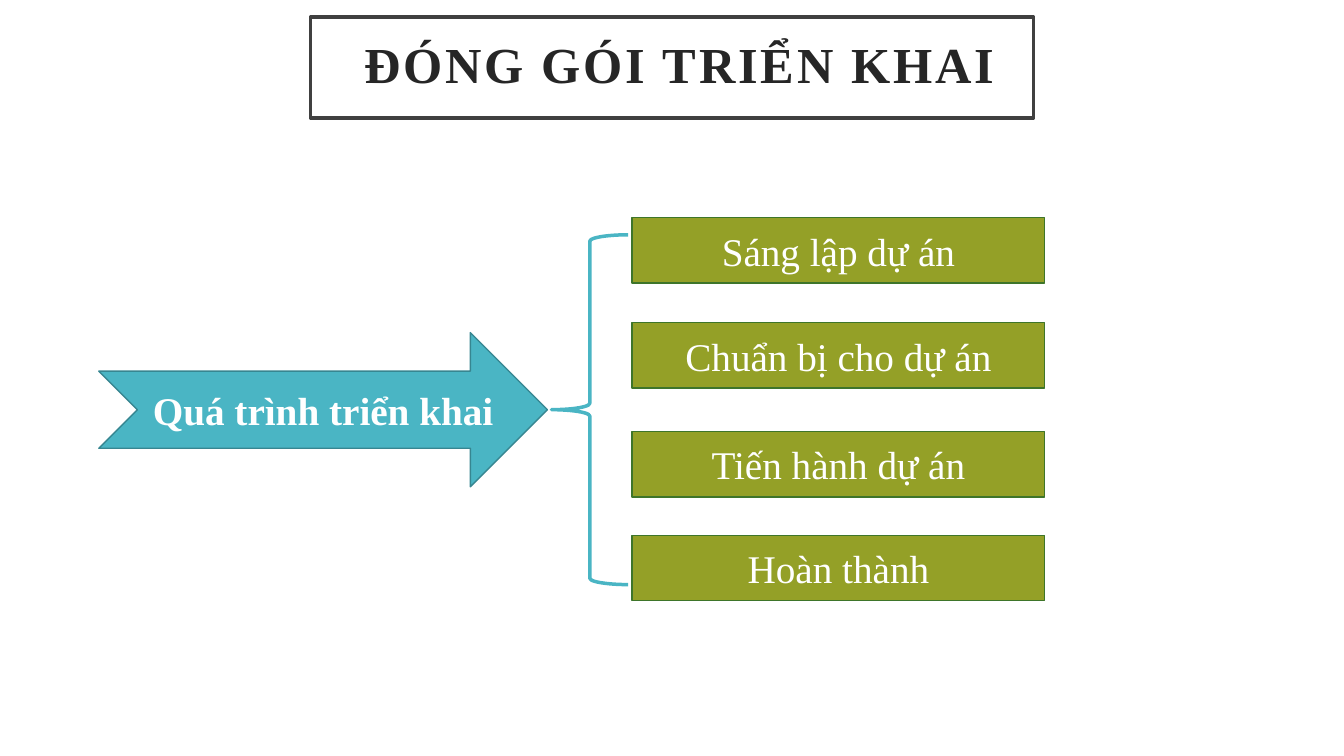
from pptx import Presentation
from pptx.dml.color import RGBColor
from pptx.enum.shapes import MSO_SHAPE as Shape
from pptx.enum.text import MSO_ANCHOR as Anchor, MSO_AUTO_SIZE as AutoSize, PP_ALIGN as Align
from pptx.util import Inches, Pt

WHITE = RGBColor(0xFF, 0xFF, 0xFF)
INK = RGBColor(0x26, 0x26, 0x26)
FRAME = RGBColor(0x40, 0x40, 0x40)
TEAL = RGBColor(0x4A, 0xB5, 0xC4)
DARK_TEAL = RGBColor(0x37, 0x86, 0x91)
OLIVE = RGBColor(0x94, 0xA0, 0x27)
GREEN = RGBColor(0x3E, 0x75, 0x2A)


def paint(shape, fill, line, width):
    shape.fill.solid()
    shape.fill.fore_color.rgb = fill
    shape.line.color.rgb = line
    shape.line.width = Pt(width)
    shape.shadow.inherit = False


def write(shape, text, size, color, bold):
    frame = shape.text_frame
    frame.text = text
    frame.word_wrap = True
    frame.auto_size = AutoSize.NONE
    frame.vertical_anchor = Anchor.MIDDLE
    paragraph = frame.paragraphs[0]
    paragraph.alignment = Align.CENTER
    font = paragraph.font
    font.name = "Times New Roman"
    font.size = Pt(size)
    font.bold = bold
    font.color.rgb = color


prs = Presentation()
prs.slide_width, prs.slide_height = Inches(13.33), Inches(7.5)
slide = prs.slides.add_slide(prs.slide_layouts[5])
shapes = slide.shapes

# Framed title with spaced letters
title = shapes.title
title.left, title.top = Inches(3.08), Inches(0.17)
title.width, title.height = Inches(7.17), Inches(1)
paint(title, WHITE, FRAME, 2.5)
write(title, " ĐÓNG GÓI TRIỂN KHAI", 36, INK, True)
heading = title.text_frame
heading.margin_left = heading.margin_right = Inches(0.2)
heading.margin_top = heading.margin_bottom = Inches(0.2)
heading.paragraphs[0].line_spacing = 0.9
heading.paragraphs[0].runs[0].font._element.set("spc", "200")

# Process arrow
process = shapes.add_shape(Shape.NOTCHED_RIGHT_ARROW,
                           Inches(0.98), Inches(3.3), Inches(4.45), Inches(1.53))
paint(process, TEAL, DARK_TEAL, 1)
write(process, "Quá trình triển khai", 28, WHITE, True)

# Deployment steps
steps = [
    ("Sáng lập dự án", 2.16),
    ("Chuẩn bị cho dự án", 3.2),
    ("Tiến hành dự án", 4.28),
    ("Hoàn thành", 5.31),
]
for label, top in steps:
    step = shapes.add_shape(Shape.RECTANGLE,
                            Inches(6.27), Inches(top), Inches(4.09), Inches(0.65))
    paint(step, OLIVE, GREEN, 1)
    write(step, label, 28, WHITE, False)

# Brace joining the arrow to the steps
brace = shapes.add_shape(Shape.LEFT_BRACE,
                         Inches(5.47), Inches(2.33), Inches(0.76), Inches(3.47))
paint(brace, WHITE, TEAL, 2.5)
brace.fill.background()

prs.save("out.pptx")
